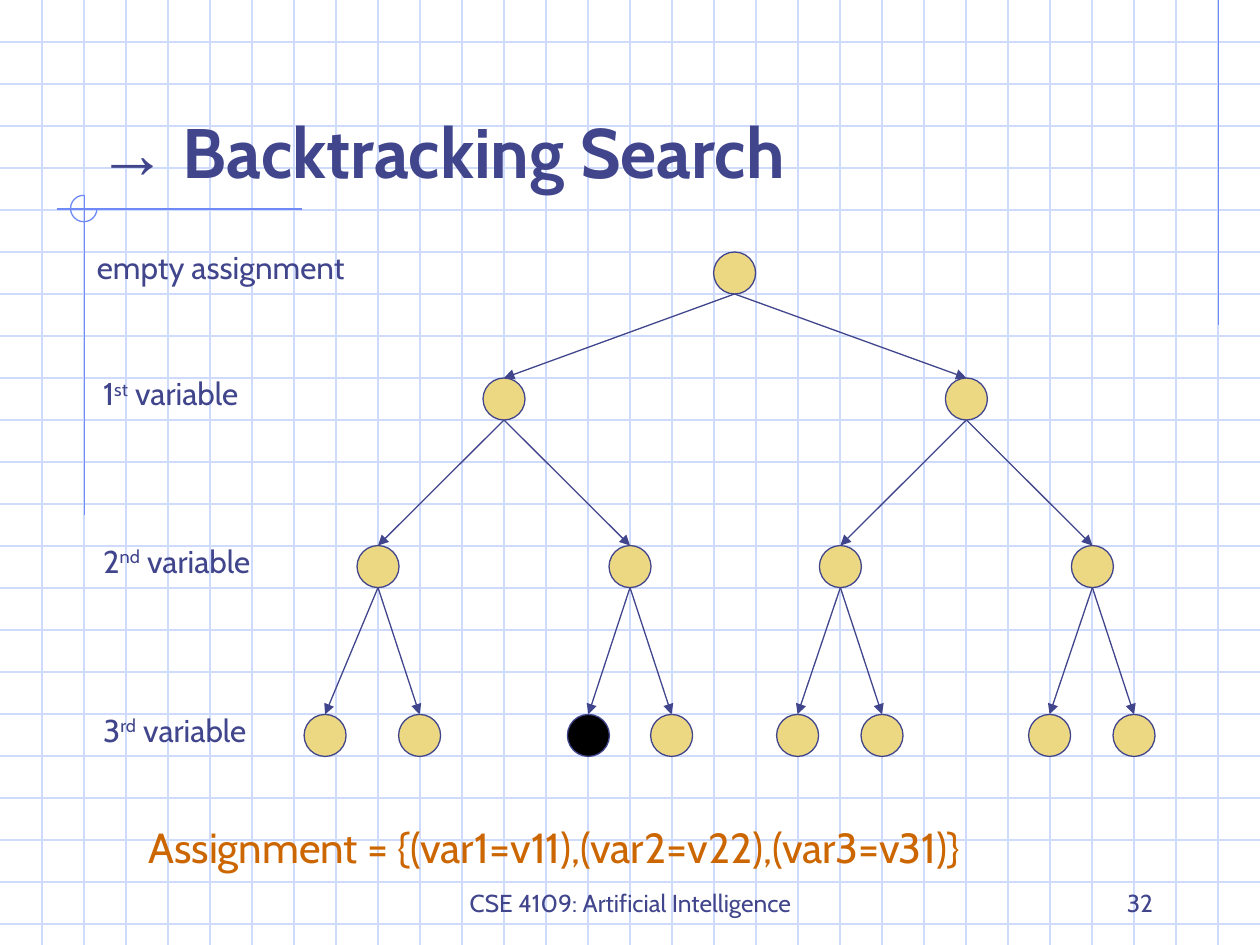
from pptx import Presentation
from pptx.dml.color import RGBColor
from pptx.enum.shapes import MSO_CONNECTOR as CONN, MSO_SHAPE as SHAPE
from pptx.enum.text import MSO_ANCHOR as ANCHOR, MSO_AUTO_SIZE as AUTO, PP_ALIGN as ALIGN
from pptx.util import Inches, Pt
from lxml.etree import SubElement
from pptx.oxml.ns import qn

INK, NODE, GRID, ACCENT, ORANGE, BLACK = (
    "40458C", "ECD882", "CFDBFD", "6F89F7", "CC6600", "000000")
WIDTH, HEIGHT, STEP = 10, 7.5, 1 / 3


def rgb(value):
    return RGBColor.from_string(value)


def add_run(p, text, size=18, font="Cabin", color=INK, bold=False, baseline=None):
    r = p.add_run()
    r.text = text
    r.font.size = Pt(size)
    r.font.name = font
    r.font.bold = bold
    r.font.color.rgb = rgb(color)
    if baseline:
        r.font._element.set("baseline", str(baseline))


class TreeSlide:
    def __init__(self, prs):
        self.s = prs.slides.add_slide(prs.slide_layouts[5])
        self.shapes = self.s.shapes

    def line(self, x1, y1, x2, y2, color, child=None):
        c = self.shapes.add_connector(
            CONN.STRAIGHT, Inches(x1), Inches(y1), Inches(x2), Inches(y2))
        c.line.color.rgb = rgb(color)
        c.line.width = Pt(0.75)
        if child is not None:
            c.end_connect(child, 0)
            SubElement(c.line._get_or_add_ln(), qn("a:tailEnd"), type="triangle")
        SubElement(c._element.spPr, qn("a:effectLst"))

    def shape(self, kind, x, y, size, line, fill=None):
        sp = self.shapes.add_shape(kind, Inches(x), Inches(y), Inches(size), Inches(size))
        sp.shadow.inherit = False
        if fill:
            sp.fill.solid()
            sp.fill.fore_color.rgb = rgb(fill)
        else:
            sp.fill.background()
        sp.line.color.rgb = rgb(line)
        sp.line.width = Pt(0.75)
        return sp

    def title(self, x, y, w, h, runs):
        sp = self.shapes.title
        sp.left, sp.top, sp.width, sp.height = map(Inches, (x, y, w, h))
        self.shapes.element.append(sp.element)
        tf = sp.text_frame
        tf.auto_size = AUTO.NONE
        tf.vertical_anchor = ANCHOR.BOTTOM
        p = tf.paragraphs[0]
        p.alignment = ALIGN.LEFT
        for text, font in runs:
            add_run(p, text, size=40, font=font, bold=True)

    def text(self, x, y, w, h, runs, wrap=False, anchor=ANCHOR.TOP,
             align=ALIGN.LEFT, **style):
        tf = self.shapes.add_textbox(Inches(x), Inches(y), Inches(w), Inches(h)).text_frame
        tf.word_wrap = wrap
        tf.auto_size = AUTO.NONE if wrap else AUTO.SHAPE_TO_FIT_TEXT
        tf.vertical_anchor = anchor
        p = tf.paragraphs[0]
        p.alignment = align
        for text, baseline in runs:
            add_run(p, text, baseline=baseline, **style)

    def grid(self):
        for i in range(1, 23):
            self.line(0, i * STEP, WIDTH, i * STEP, GRID)
        for i in range(1, 30):
            self.line(i * STEP, 0, i * STEP, HEIGHT, GRID)

    def ornaments(self):
        self.line(9.67, 0, 9.67, 2.58, ACCENT)
        self.line(2.4, 1.66, 0.45, 1.66, ACCENT)
        self.line(0.67, 1.55, 0.67, 4.09, ACCENT)
        arc = self.shape(SHAPE.ARC, 0.56, 1.55, 0.21, ACCENT)
        arc.adjustments[0] = 0
        arc.adjustments[1] = 162

    def tree(self, levels, goal):
        parents = []
        for top, centers in levels:
            for i, x in enumerate(centers):
                fill = BLACK if (top, x) == goal else NODE
                node = self.shape(SHAPE.OVAL, x - STEP / 2, top, STEP, INK, fill)
                if parents:
                    px, py = parents[i // 2]
                    self.line(px, py + STEP, x, top, INK, child=node)
            parents = [(x, top) for x in centers]


def main():
    prs = Presentation()
    prs.slide_width, prs.slide_height = Inches(WIDTH), Inches(HEIGHT)
    slide = TreeSlide(prs)
    slide.grid()
    slide.ornaments()
    slide.title(0.67, 0.33, 8.5, 1.25,
                [("→", "Arial"), (" Backtracking Search", "Cabin")])

    levels = [
        (2, [5.83]),
        (3, [4, 7.67]),
        (4.33, [3, 5, 6.67, 8.67]),
        (5.67, [2.58, 3.33, 4.67, 5.33, 6.33, 7, 8.33, 9]),
    ]
    slide.tree(levels, goal=(5.67, 4.67))

    slide.text(0.67, 1.92, 2.38, 0.4, [("empty assignment", None)])
    ordinals = [("1", "st", 1.46), ("2", "nd", 1.52), ("3", "rd", 1.49)]
    for (top, _), (number, suffix, width) in zip(levels[1:], ordinals):
        slide.text(0.72, top - 0.08, width, 0.4,
                   [(number, None), (suffix, 30000), (" variable", None)])

    slide.text(1.08, 6.47, 7.73, 0.5,
               [("Assignment = {(var1=v11),(var2=v22),(var3=v31)}", None)],
               size=24, color=ORANGE)
    footer = dict(wrap=True, anchor=ANCHOR.BOTTOM, size=14)
    slide.text(3.42, 6.83, 3.17, 0.5, [("CSE 4109: Artificial Intelligence", None)],
               align=ALIGN.CENTER, **footer)
    slide.text(7.17, 6.83, 2.08, 0.5, [("32", None)], align=ALIGN.RIGHT, **footer)
    prs.save("out.pptx")


if __name__ == "__main__":
    main()
